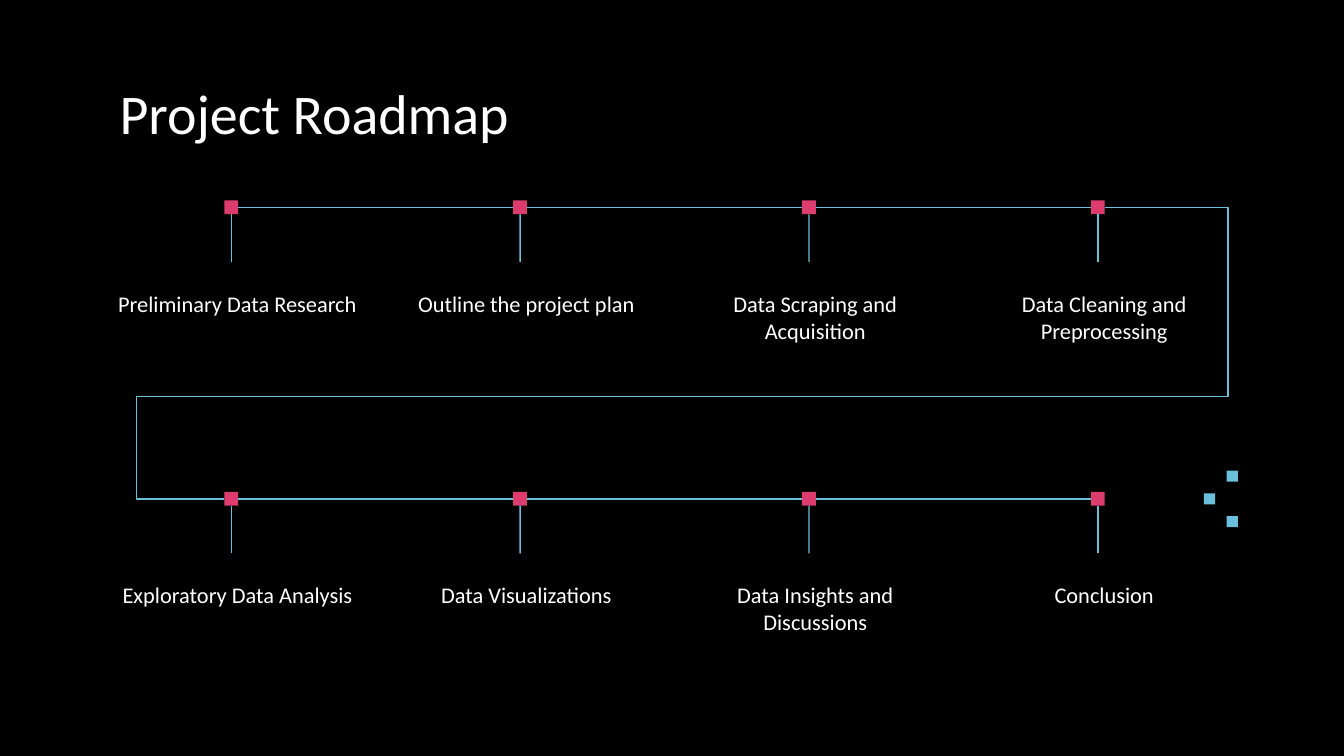
import pptx
import pptx.util
import pptx.dml.color
import pptx.enum.shapes
import pptx.enum.text
import pptx.oxml.ns
import pptx.oxml.xmlchemy

Cm, Pt = pptx.util.Cm, pptx.util.Pt
RGB = pptx.dml.color.RGBColor
KIND = pptx.enum.shapes.MSO_CONNECTOR
RECT = pptx.enum.shapes.MSO_SHAPE.RECTANGLE
ALIGN = pptx.enum.text.PP_ALIGN
qn = pptx.oxml.ns.qn
make = pptx.oxml.xmlchemy.OxmlElement

BLACK = RGB(0x00, 0x00, 0x00)
WHITE = RGB(0xFF, 0xFF, 0xFF)
PINK = RGB(0xDD, 0x3D, 0x6E)
BLUE = RGB(0x6A, 0xBF, 0xDA)

# Content
TITLE = "Project Roadmap"
ROWS = [
    ["Preliminary Data Research", "Outline the project plan",
     "Data Scraping and Acquisition", "Data Cleaning and Preprocessing"],
    ["Exploratory Data Analysis", "Data Visualizations",
     "Data Insights and Discussions", "Conclusion"],
]

# Layout, in cm
LEFT, STEP = 4.37, 5.46        # centre of first marker, column pitch
TOPS = [3.92, 9.43]            # centre line of each row
DOT, STEM = 0.26, 0.9
WIDE, HIGH = 5.03, 1.7         # label box
SHIFT, DROP = 0.12, 1.31       # label offset from its marker
BENDS = [-14, 65, 110]         # turns of the line between rows, in percent
TRIO = [(23.29, 9.0), (22.86, 9.43), (23.29, 9.86)]
SPECK = 0.21


def add_text(text, x, y, w, h, size, align):
    box = slide.shapes.add_textbox(Cm(x), Cm(y), Cm(w), Cm(h))
    frame = box.text_frame
    frame.word_wrap = True
    frame.margin_left = frame.margin_right = Cm(0.25)
    frame.margin_top = frame.margin_bottom = Cm(0.25)
    para = frame.paragraphs[0]
    para.text = text
    para.alignment = align
    para.font.size = Pt(size)
    para.font.name = "Calibri"
    para.font.color.rgb = WHITE


def add_square(shapes, x, y, size, color):
    """Draw a square centred on x, y."""
    box = shapes.add_shape(RECT, Cm(x - size / 2), Cm(y - size / 2),
                           Cm(size), Cm(size))
    box.shadow.inherit = False
    box.fill.solid()
    box.fill.fore_color.rgb = color
    box.line.fill.background()
    return box


def add_line(kind, x1, y1, x2, y2):
    line = slide.shapes.add_connector(kind, Cm(x1), Cm(y1), Cm(x2), Cm(y2))
    line.line.color.rgb = BLUE
    line.line.width = Pt(0.75)
    line._element.spPr.append(make("a:effectLst"))
    return line


deck = pptx.Presentation()
deck.slide_width, deck.slide_height = Cm(25.4), Cm(14.29)
slide = deck.slides.add_slide(deck.slide_layouts[6])
slide.background.fill.solid()
slide.background.fill.fore_color.rgb = BLACK

add_text(TITLE, 2.01, 1.24, 21.41, 1.6, 30, ALIGN.LEFT)

# Markers, stems, labels and the lines between markers
cols = [LEFT + i * STEP for i in range(len(ROWS[0]))]
grid = []
for y, names in zip(TOPS, ROWS):
    dots = [add_square(slide.shapes, x, y, DOT, PINK) for x in cols]
    grid.append(dots)
    for x, dot, name in zip(cols, dots, names):
        add_text(name, x + SHIFT - WIDE / 2, y + DROP, WIDE, HIGH, 12,
                 ALIGN.CENTER)
        low = y + DOT / 2
        stem = add_line(KIND.STRAIGHT, x, low, x, low + STEM)
        stem.begin_connect(dot, 2)
    for x, dot, after in zip(cols, dots, dots[1:]):
        link = add_line(KIND.STRAIGHT, x, y, x + STEP, y)
        link.begin_connect(dot, 3)
        link.end_connect(after, 1)

# Bent line from the end of the first row to the start of the second
turn = add_line(KIND.ELBOW, cols[-1] + DOT / 2, TOPS[0],
                cols[0] - DOT / 2, TOPS[1])
turn.begin_connect(grid[0][-1], 3)
turn.end_connect(grid[1][0], 1)
geom = turn._element.spPr.find(qn("a:prstGeom"))
geom.set("prst", "bentConnector5")
guides = geom.find(qn("a:avLst"))
if guides is None:
    guides = make("a:avLst")
    geom.append(guides)
for i, bend in enumerate(BENDS, 1):
    guide = make("a:gd")
    guide.set("name", f"adj{i}")
    guide.set("fmla", f"val {bend * 1000}")
    guides.append(guide)

# Three small squares at the right edge
group = slide.shapes.add_group_shape()
for x, y in TRIO:
    add_square(group.shapes, x, y, SPECK, BLUE)

deck.save("out.pptx")
